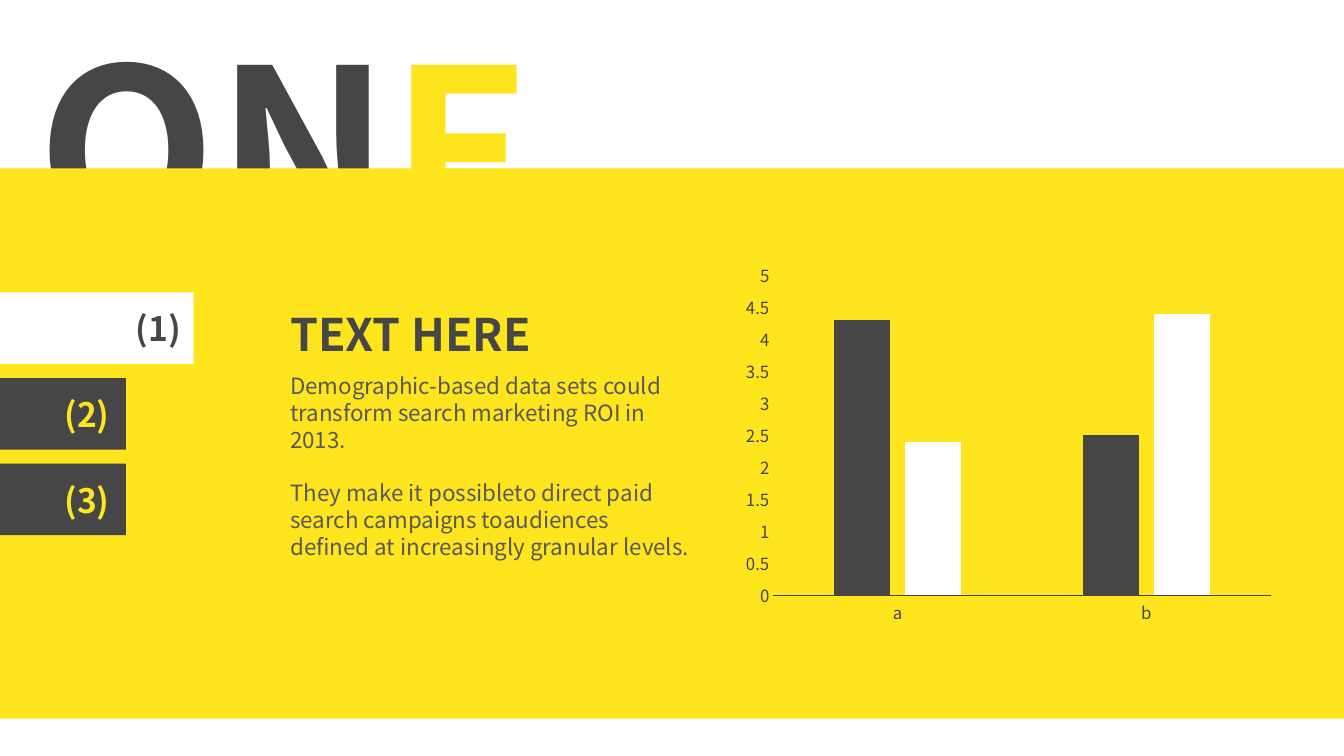
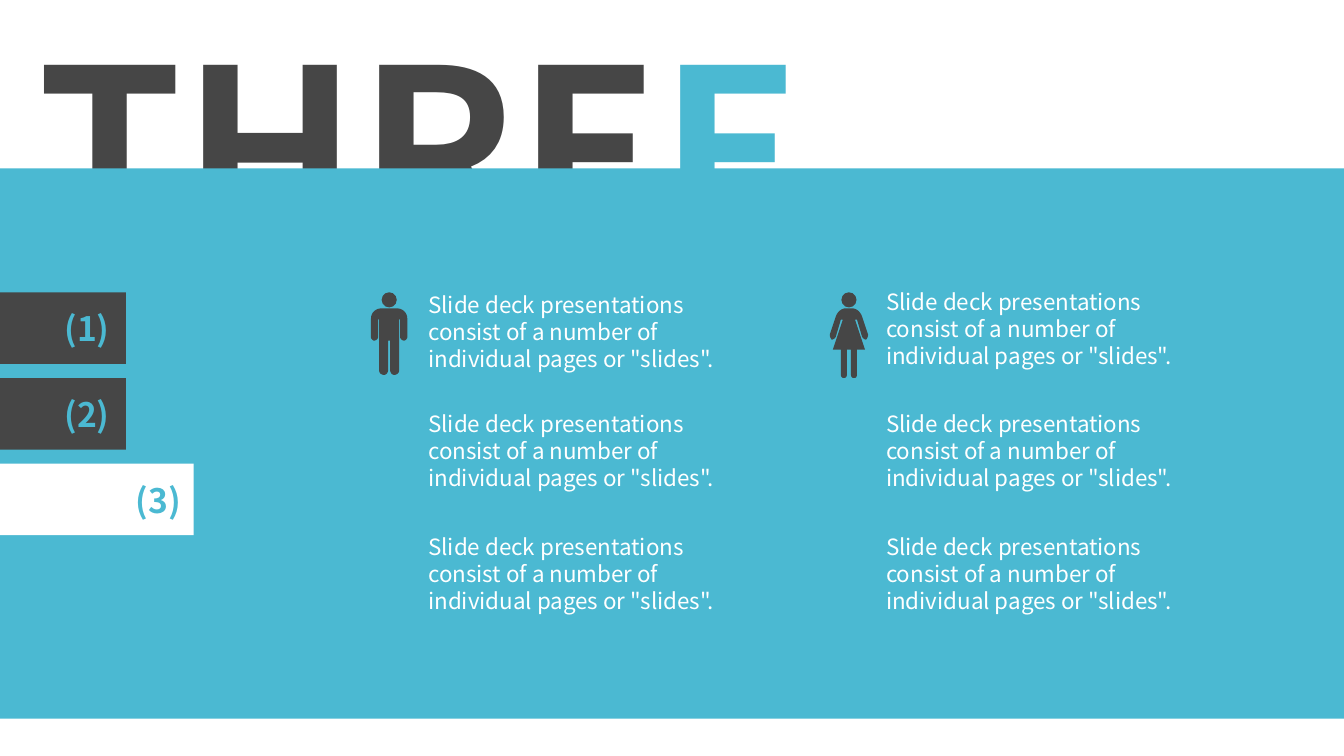
"""Build two numbered infographic slides with a cropped headline and side tabs."""
from dataclasses import dataclass

from pptx import Presentation
from pptx.chart.data import CategoryChartData
from pptx.dml.color import RGBColor
from pptx.enum.chart import XL_CHART_TYPE, XL_TICK_MARK
from pptx.enum.shapes import MSO_SHAPE
from pptx.enum.text import MSO_ANCHOR, MSO_AUTO_SIZE, PP_ALIGN
from pptx.util import Inches, Pt

FONT = "Noto Sans CJK SC"
DARK = RGBColor(0x46, 0x46, 0x46)
GREY = RGBColor(0x59, 0x59, 0x59)
WHITE = RGBColor(0xFF, 0xFF, 0xFF)
YELLOW = RGBColor(0xFF, 0xE5, 0x1E)
BLUE = RGBColor(0x4B, 0xB9, 0xD2)

RECT, OVAL = MSO_SHAPE.RECTANGLE, MSO_SHAPE.OVAL
COLUMNS = XL_CHART_TYPE.COLUMN_CLUSTERED
NO_TICK = XL_TICK_MARK.NONE
TOP, LEFT = MSO_ANCHOR.TOP, PP_ALIGN.LEFT
GROW = MSO_AUTO_SIZE.SHAPE_TO_FIT_TEXT

TAB_COUNT, TAB_TOP, TAB_PITCH, TAB_HEIGHT = 3, 2.9, 0.85, 0.71
HEAD_SIZE = 0.15
CURVE_STEPS = 8
BLURB = 'Slide deck presentations consist of a number of individual pages or "slides".'


@dataclass(frozen=True)
class Section:
    """Headline, colours and active tab of one slide."""

    stem: str
    last: str
    title_width: float
    accent: RGBColor
    active_tab: int
    active_color: RGBColor


@dataclass(frozen=True)
class Figure:
    """Person icon: centre and the right half of its body outline."""

    center: float
    half: tuple[tuple[float, ...], ...]


@dataclass(frozen=True)
class BlurbColumn:
    """Left edge and row tops of a column of text."""

    left: float
    tops: tuple[float, ...]


ONE = Section("ON", "E", 6.96, YELLOW, 1, DARK)
THREE = Section("THRE", "E", 8.6, BLUE, 3, BLUE)

MAN = Figure(3.86, (
    (0, 0), (0.08, 0), (0.13, 0, 0.18, 0.04, 0.18, 0.1),
    (0.18, 0.29), (0.18, 0.3, 0.16, 0.32, 0.15, 0.32),
    (0.13, 0.32, 0.11, 0.3, 0.11, 0.29), (0.11, 0.11), (0.1, 0.11),
    (0.1, 0.61), (0.1, 0.64, 0.08, 0.66, 0.05, 0.66),
    (0.03, 0.66, 0.01, 0.64, 0.01, 0.61), (0.01, 0.32), (0, 0.32),
))
WOMAN = Figure(8.42, (
    (0, 0), (0.04, 0), (0.06, 0, 0.11, 0.02, 0.13, 0.08),
    (0.19, 0.26), (0.19, 0.28, 0.18, 0.3, 0.17, 0.31),
    (0.16, 0.31, 0.14, 0.3, 0.13, 0.28), (0.08, 0.11), (0.06, 0.11),
    (0.16, 0.41), (0.08, 0.41), (0.08, 0.65),
    (0.08, 0.68, 0.07, 0.69, 0.05, 0.69),
    (0.03, 0.69, 0.02, 0.68, 0.02, 0.65), (0.02, 0.41), (0, 0.41),
))
BLURB_COLUMNS = (
    BlurbColumn(4.15, (2.84, 4.02, 5.24)),
    BlurbColumn(8.69, (2.81, 4.02, 5.24)),
)


def set_font(font, size: float, color: RGBColor, bold: bool = False) -> None:
    """Apply the deck typeface with a size, colour and weight."""
    font.name, font.size, font.bold = FONT, Pt(size), bold
    font.color.rgb = color


def paint(sp, color: RGBColor) -> None:
    """Give a shape a flat fill without line or shadow."""
    sp.shadow.inherit = False
    sp.fill.solid()
    sp.fill.fore_color.rgb = color
    sp.line.fill.background()


def add_block(shapes, kind, left: float, top: float, width: float,
              height: float, color: RGBColor) -> None:
    """Draw a flat preset shape."""
    sp = shapes.add_shape(kind, Inches(left), Inches(top), Inches(width), Inches(height))
    paint(sp, color)


def add_text(slide, box: tuple[float, float, float, float], paragraphs: tuple[str, ...],
             size: float, color: RGBColor, bold: bool = False, gap: float = 0) -> None:
    """Add a wrapped text box with a gap between paragraphs."""
    tf = slide.shapes.add_textbox(*map(Inches, box)).text_frame
    tf.word_wrap = True
    tf.auto_size = GROW
    for i, text in enumerate(paragraphs):
        p = tf.add_paragraph() if i else tf.paragraphs[0]
        p.text = text
        set_font(p.font, size, color, bold)
        if i:
            p.space_before = Pt(gap)


def add_section(prs, section: Section):
    """Add a slide with its headline, colour band and numbered tabs."""
    slide = prs.slides.add_slide(prs.slide_layouts[5])
    title = slide.shapes.title
    title.left, title.top = Inches(0.27), Inches(0)
    title.width, title.height = Inches(section.title_width), Inches(2.89)
    tf = title.text_frame
    tf.word_wrap, tf.auto_size, tf.vertical_anchor = True, GROW, TOP
    p = tf.paragraphs[0]
    p.alignment = LEFT
    for text, color in ((section.stem, DARK), (section.last, section.accent)):
        r = p.add_run()
        r.text = text
        set_font(r.font, 166, color, True)

    add_block(slide.shapes, RECT, 0, 1.67, 13.33, 5.46, section.accent)
    for i in range(TAB_COUNT):
        active = i + 1 == section.active_tab
        top = TAB_TOP + i * TAB_PITCH
        width, label_left = (1.92, 1.25) if active else (1.25, 0.54)
        add_block(slide.shapes, RECT, 0, top, width, TAB_HEIGHT, WHITE if active else DARK)
        add_text(slide, (label_left, top + 0.11, 0.85, 0.5), (f"({i + 1})",), 24,
                 section.active_color if active else section.accent, True)
    return slide


def add_columns(slide) -> None:
    """Add the clustered column chart."""
    data = CategoryChartData()
    data.categories = ["a", "b"]
    data.add_series("Series 1", (4.3, 2.5))
    data.add_series("Series 2", (2.4, 4.4))
    chart = slide.shapes.add_chart(COLUMNS, Inches(7.29), Inches(2.53), Inches(5.42),
                                   Inches(3.74), data).chart
    set_font(chart.font, 10, DARK)
    chart.has_legend = chart.has_title = False
    for axis in (chart.category_axis, chart.value_axis):
        axis.has_major_gridlines = False
        axis.major_tick_mark = axis.minor_tick_mark = NO_TICK
        set_font(axis.tick_labels.font, 12, DARK)
    line = chart.category_axis.format.line
    line.color.rgb, line.width = DARK, Pt(0.75)
    chart.value_axis.format.line.fill.background()
    plot = chart.plots[0]
    plot.gap_width, plot.overlap, plot.vary_by_categories = 219, -27, False
    for series, color in zip(plot.series, (DARK, WHITE)):
        series.format.fill.solid()
        series.format.fill.fore_color.rgb = color


def flatten(steps: tuple[tuple[float, ...], ...]) -> list[tuple[float, float]]:
    """Turn points and cubic curves into a list of points."""
    points = []
    for step in steps:
        if len(step) == 2:
            points.append(step)
            continue
        (x0, y0), (x1, y1, x2, y2, x3, y3) = points[-1], step
        for i in range(1, CURVE_STEPS + 1):
            t = i / CURVE_STEPS
            a, b, c, d = (1 - t) ** 3, 3 * t * (1 - t) ** 2, 3 * t * t * (1 - t), t ** 3
            points.append((a * x0 + b * x1 + c * x2 + d * x3,
                           a * y0 + b * y1 + c * y2 + d * y3))
    return points


def add_figure(slide, figure: Figure) -> None:
    """Draw a person icon as a grouped head and mirrored body."""
    shapes = slide.shapes.add_group_shape().shapes
    add_block(shapes, OVAL, figure.center - HEAD_SIZE / 2, 2.9, HEAD_SIZE, HEAD_SIZE, DARK)
    right = flatten(figure.half)
    outline = right + [(-x, y) for x, y in reversed(right)]
    points = [(Inches(figure.center + x), Inches(3.06 + y)) for x, y in outline]
    builder = shapes.build_freeform(*points[0])
    builder.add_line_segments(points[1:], close=True)
    paint(builder.convert_to_shape(), DARK)


def build_one(prs) -> None:
    """Build the slide with text and a chart."""
    slide = add_section(prs, ONE)
    add_text(slide, (2.78, 2.99, 3.09, 0.64), ("TEXT HERE",), 32, DARK, True)
    add_columns(slide)
    add_text(slide, (2.78, 3.64, 4.18, 2.52), (
        "Demographic-based data sets could transform search marketing ROI in 2013.",
        "They make it possibleto direct paid search campaigns toaudiences "
        "defined at increasingly granular levels.",
    ), 16, GREY, gap=19)


def build_three(prs) -> None:
    """Build the slide with two columns of text and icons."""
    slide = add_section(prs, THREE)
    for column in BLURB_COLUMNS:
        for top in column.tops:
            add_text(slide, (column.left, top, 3.41, 0.91), (BLURB,), 16, WHITE)
    for figure in (MAN, WOMAN):
        add_figure(slide, figure)


def main() -> None:
    """Build and save the deck."""
    prs = Presentation()
    prs.slide_width, prs.slide_height = Inches(13.33), Inches(7.5)
    build_one(prs)
    build_three(prs)
    prs.save("out.pptx")


if __name__ == "__main__":
    main()
